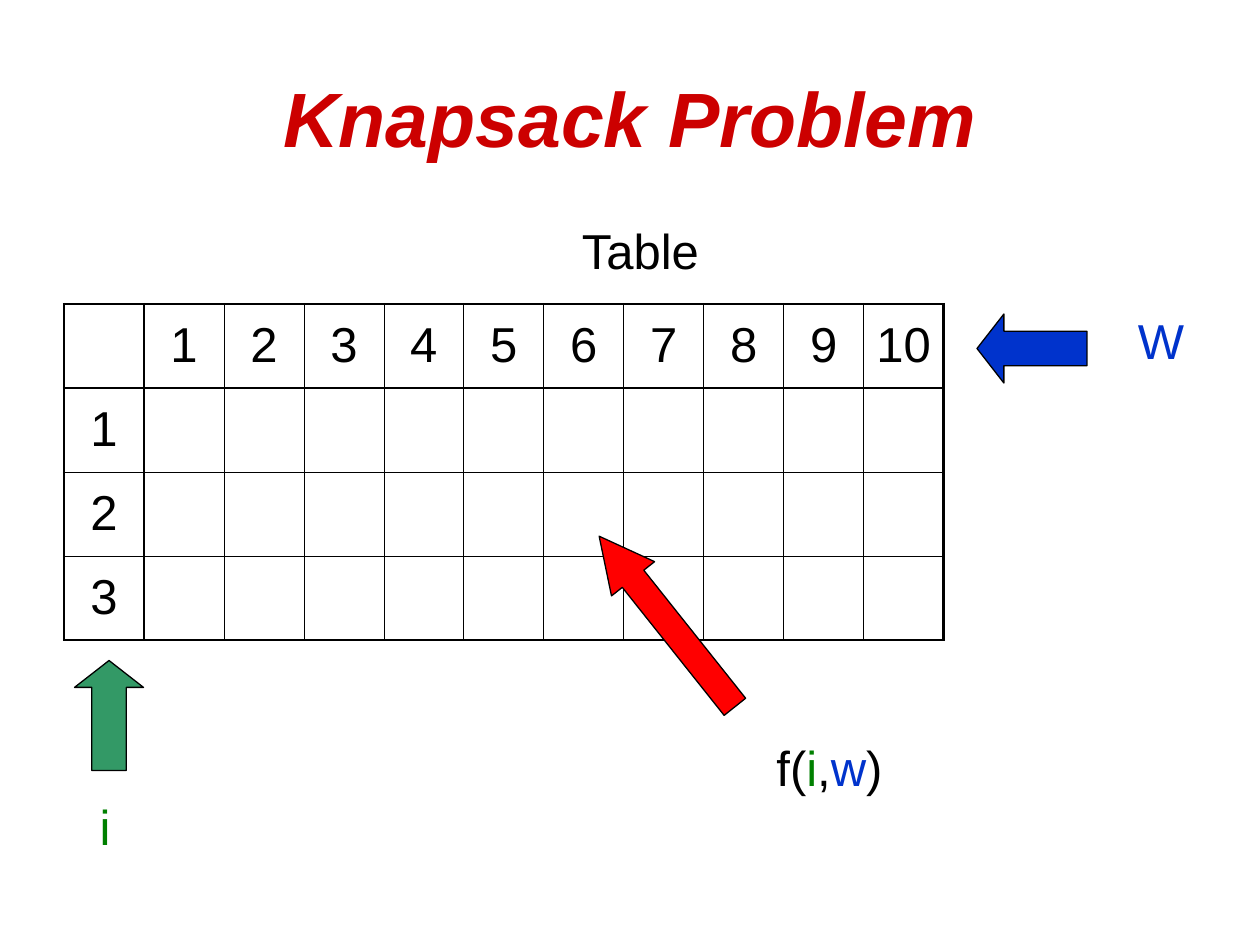
from dataclasses import dataclass

from lxml import etree
from pptx import Presentation
from pptx.dml.color import RGBColor
from pptx.enum.shapes import MSO_SHAPE
from pptx.enum.text import MSO_ANCHOR, PP_ALIGN
from pptx.oxml.ns import qn
from pptx.util import Emu, Pt

PX = 914400 // 126
LEFT_ARROW = MSO_SHAPE.LEFT_ARROW
CENTER = PP_ALIGN.CENTER
MIDDLE = MSO_ANCHOR.MIDDLE
FONT = "Arial"
BLACK, BLUE, GREEN = "000000", "0033CC", "008000"
THICK, THIN = 1.47, 0.45
ROWS, COLUMNS = 4, 11
CELL_WIDTH, CELL_HEIGHT = 80, 84


@dataclass(frozen=True)
class Box:
    left: int
    top: int
    width: int
    height: int

    def emu(self) -> tuple[Emu, ...]:
        return tuple(Emu(n * PX) for n in (self.left, self.top, self.width, self.height))


@dataclass(frozen=True)
class Label:
    box: Box
    runs: tuple[tuple[str, str], ...]


@dataclass(frozen=True)
class Arrow:
    box: Box
    fill: str
    head: float
    rotation: float = 0


LABELS = (
    Label(Box(362, 214, 557, 83), (("Table", BLACK),)),
    Label(Box(1106, 304, 110, 83), (("W", BLUE),)),
    Label(Box(50, 790, 110, 83), (("i", GREEN),)),
    Label(Box(740, 731, 179, 83),
          (("f(", BLACK), ("i", GREEN), (",", BLACK), ("w", BLUE), (")", BLACK))),
)
ARROWS = (
    Arrow(Box(977, 314, 110, 69), BLUE, 0.39),
    Arrow(Box(54, 681, 110, 69), "339966", 0.39, 90),
    Arrow(Box(558, 594, 218, 55), "FF0000", 0.99, 51.5),
)


def color(value: str) -> RGBColor:
    return RGBColor.from_string(value)


def format_paragraph(paragraph) -> None:
    paragraph.alignment = CENTER
    paragraph.space_before = Pt(7)
    paragraph.font.name = FONT
    paragraph.font.size = Pt(28)


def draw_label(slide, label: Label) -> None:
    frame = slide.shapes.add_textbox(*label.box.emu()).text_frame
    frame.word_wrap = True
    paragraph = frame.paragraphs[0]
    format_paragraph(paragraph)
    for text, run_color in label.runs:
        run = paragraph.add_run()
        run.text = text
        run.font.color.rgb = color(run_color)


def draw_arrow(slide, arrow: Arrow) -> None:
    shape = slide.shapes.add_shape(LEFT_ARROW, *arrow.box.emu())
    shape.adjustments[0] = 0.5
    shape.adjustments[1] = arrow.head
    shape.rotation = arrow.rotation
    shape.shadow.inherit = False
    shape.fill.solid()
    shape.fill.fore_color.rgb = color(arrow.fill)
    shape.line.color.rgb = color(BLACK)
    shape.line.width = Pt(0.75)


def set_borders(cell, row: int, column: int) -> None:
    # Thick lines frame the grid and set off its header row and column
    thick = {
        "a:lnL": column in (0, 1),
        "a:lnR": column in (0, COLUMNS - 1),
        "a:lnT": row in (0, 1),
        "a:lnB": row in (0, ROWS - 1),
    }
    properties = cell._tc.get_or_add_tcPr()
    for position, (side, is_thick) in enumerate(thick.items()):
        line = etree.Element(qn(side), w=str(Pt(THICK if is_thick else THIN)))
        fill = etree.SubElement(line, qn("a:solidFill"))
        etree.SubElement(fill, qn("a:srgbClr"), val=BLACK)
        properties.insert(position, line)


def draw_grid(slide, left: int, top: int) -> None:
    box = Box(left, top, COLUMNS * CELL_WIDTH, ROWS * CELL_HEIGHT)
    table = slide.shapes.add_table(ROWS, COLUMNS, *box.emu()).table
    table.first_row = table.horz_banding = False
    for row in range(ROWS):
        for column in range(COLUMNS):
            cell = table.cell(row, column)
            cell.fill.background()
            cell.vertical_anchor = MIDDLE
            set_borders(cell, row, column)
            # Only the header row and column are numbered
            if (row == 0) != (column == 0):
                cell.text = str(row + column)
                paragraph = cell.text_frame.paragraphs[0]
                format_paragraph(paragraph)
                paragraph.font.color.rgb = color(BLACK)


def draw_title(slide, text: str) -> None:
    title = slide.shapes.title
    title.left, title.top, title.width, title.height = Box(63, 38, 1134, 158).emu()
    title.text_frame.text = text
    title.text_frame.vertical_anchor = MIDDLE
    paragraph = title.text_frame.paragraphs[0]
    paragraph.alignment = CENTER
    font = paragraph.font
    font.name, font.size = FONT, Pt(44)
    font.bold = font.italic = True
    font.color.rgb = color("CC0000")


def main() -> None:
    presentation = Presentation()
    presentation.slide_width = Emu(1260 * PX)
    presentation.slide_height = Emu(945 * PX)
    slide = presentation.slides.add_slide(presentation.slide_layouts[5])

    draw_title(slide, "Knapsack Problem")
    draw_grid(slide, 64, 304)
    # Arrows and labels naming the two axes and one entry
    for arrow in ARROWS:
        draw_arrow(slide, arrow)
    for label in LABELS:
        draw_label(slide, label)

    presentation.save("out.pptx")


if __name__ == "__main__":
    main()
